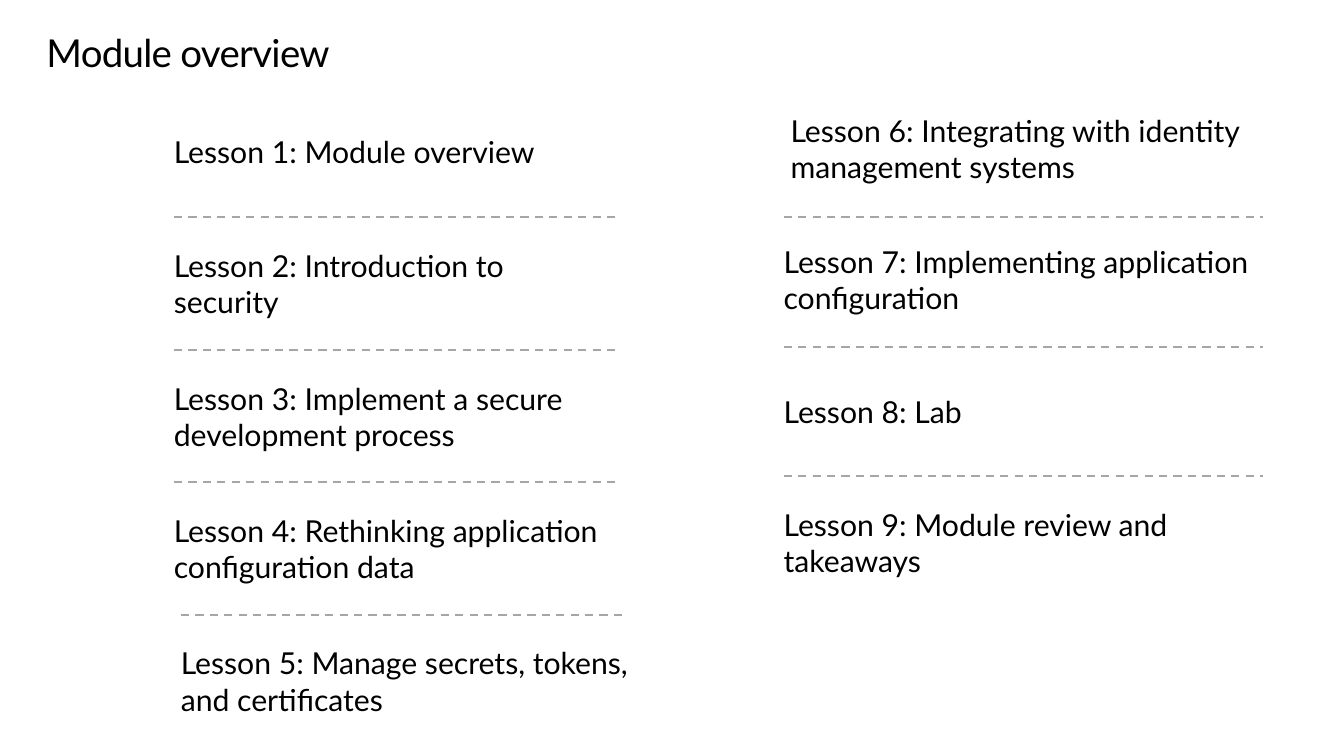
import pptx
import pptx.dml.color
import pptx.enum.dml
import pptx.enum.shapes
import pptx.enum.text
import pptx.util
from lxml import etree
from dataclasses import dataclass

Inches, Pt = pptx.util.Inches, pptx.util.Pt
ANCHOR = pptx.enum.text.MSO_ANCHOR
DRAWING = "{http://schemas.openxmlformats.org/drawingml/2006/main}"

SLIDE_WIDTH, SLIDE_HEIGHT = 13.6, 7.65
BLACK, GREY = "000000", "A6A6A6"
LINE_HEIGHT = 0.37
ONE_LINE_LENGTH = 34
FIRST_RULE = 2.2
NUDGE = 0.07


@dataclass
class Column:
    left: float
    text_width: float
    rule_width: float
    first_center: float
    text_pitch: float
    rule_pitch: float
    lessons: list
    nudged_texts: tuple
    nudged_rules: tuple


COLUMNS = [
    Column(1.76, 4.47, 4.5, 1.53, 1.34, 1.34, [
        "Lesson 1: Module overview",
        "Lesson 2: Introduction to security",
        "Lesson 3: Implement a secure development process",
        "Lesson 4: Rethinking application configuration data",
        "Lesson 5: Manage secrets, tokens, and certificates",
    ], (4,), (3,)),
    Column(7.93, 4.85, 4.85, 1.5, 1.33, 1.31, [
        "Lesson 6: Integrating with identity management systems",
        "Lesson 7: Implementing application configuration",
        "Lesson 8: Lab",
        "Lesson 9: Module review and takeaways",
    ], (0,), ()),
]
WIDE_TEXT = max(column.text_width for column in COLUMNS)


def color(value):
    return pptx.dml.color.RGBColor.from_string(value)


def set_values(target, values):
    for name, value in values.items():
        setattr(target, name, value)


def write_text(box, text, size, anchor, paragraph_format):
    frame = box.text_frame
    set_values(frame, dict(
        word_wrap=True, vertical_anchor=anchor,
        auto_size=pptx.enum.text.MSO_AUTO_SIZE.NONE,
        margin_left=0, margin_top=0, margin_right=0, margin_bottom=0))
    para = frame.paragraphs[0]
    set_values(para, dict(alignment=pptx.enum.text.PP_ALIGN.LEFT, **paragraph_format))
    span = para.add_run()
    span.text = text
    set_values(span.font, dict(name="Lato", size=Pt(size), bold=False))
    span.font.color.rgb = color(BLACK)
    return span


def add_title(page, text):
    title = page.shapes.title
    set_values(title, dict(left=Inches(0.47), top=Inches(0.32),
                           width=Inches(12.65), height=Inches(0.45)))
    span = write_text(title, text, 28, ANCHOR.TOP,
                      dict(line_spacing=Pt(32), space_before=Pt(0)))
    span.font._element.set("spc", "-50")


def add_lesson(page, text, left, center, width):
    height = LINE_HEIGHT * (1 if len(text) <= ONE_LINE_LENGTH else 2)
    box = page.shapes.add_textbox(Inches(left), Inches(center - height / 2),
                                  Inches(width), Inches(height))
    write_text(box, text, 22, ANCHOR.MIDDLE, dict(space_after=Pt(6)))


def add_rule(page, left, top, width):
    rule = page.shapes.add_connector(
        pptx.enum.shapes.MSO_CONNECTOR.STRAIGHT,
        Inches(left), Inches(top), Inches(left + width), Inches(top))
    set_values(rule.line, dict(width=Pt(1.5),
                               dash_style=pptx.enum.dml.MSO_LINE.DASH))
    rule.line.color.rgb = color(GREY)
    etree.SubElement(rule._element.spPr, DRAWING + "effectLst")


def add_column(page, column):
    for row, lesson in enumerate(column.lessons):
        # Lesson text, with the nudged rows set slightly to the right
        nudged = row in column.nudged_texts
        add_lesson(page, lesson, column.left + NUDGE * nudged,
                   column.first_center + row * column.text_pitch,
                   WIDE_TEXT if nudged else column.text_width)
        # Dashed rule between this lesson and the next
        if row < len(column.lessons) - 1:
            add_rule(page, column.left + NUDGE * (row in column.nudged_rules),
                     FIRST_RULE + row * column.rule_pitch, column.rule_width)


def main():
    deck = pptx.Presentation()
    set_values(deck, dict(slide_width=Inches(SLIDE_WIDTH),
                          slide_height=Inches(SLIDE_HEIGHT)))
    page = deck.slides.add_slide(deck.slide_layouts.get_by_name("Title Only"))
    add_title(page, "Module overview")
    for column in COLUMNS:
        add_column(page, column)
    deck.save("out.pptx")


if __name__ == "__main__":
    main()
